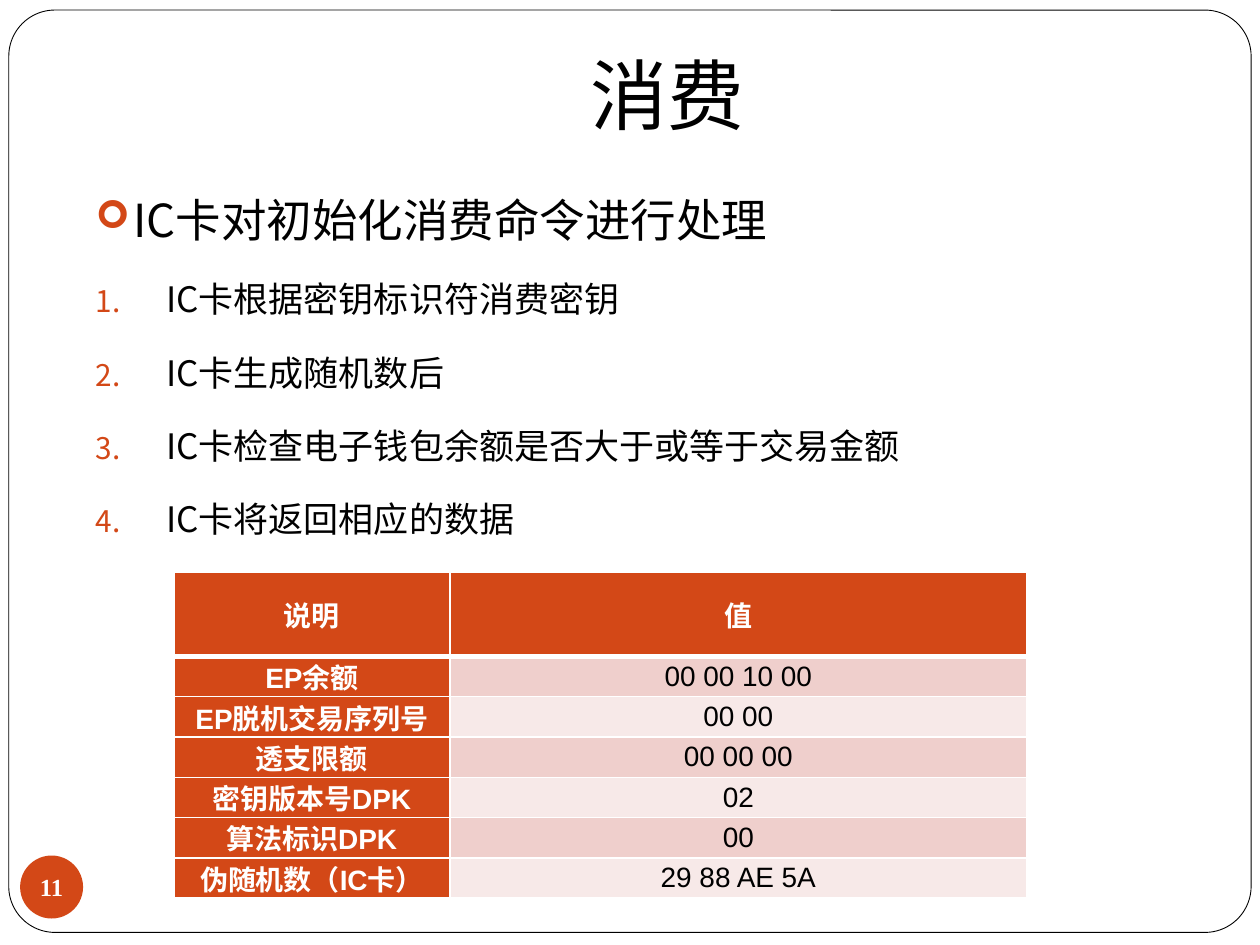
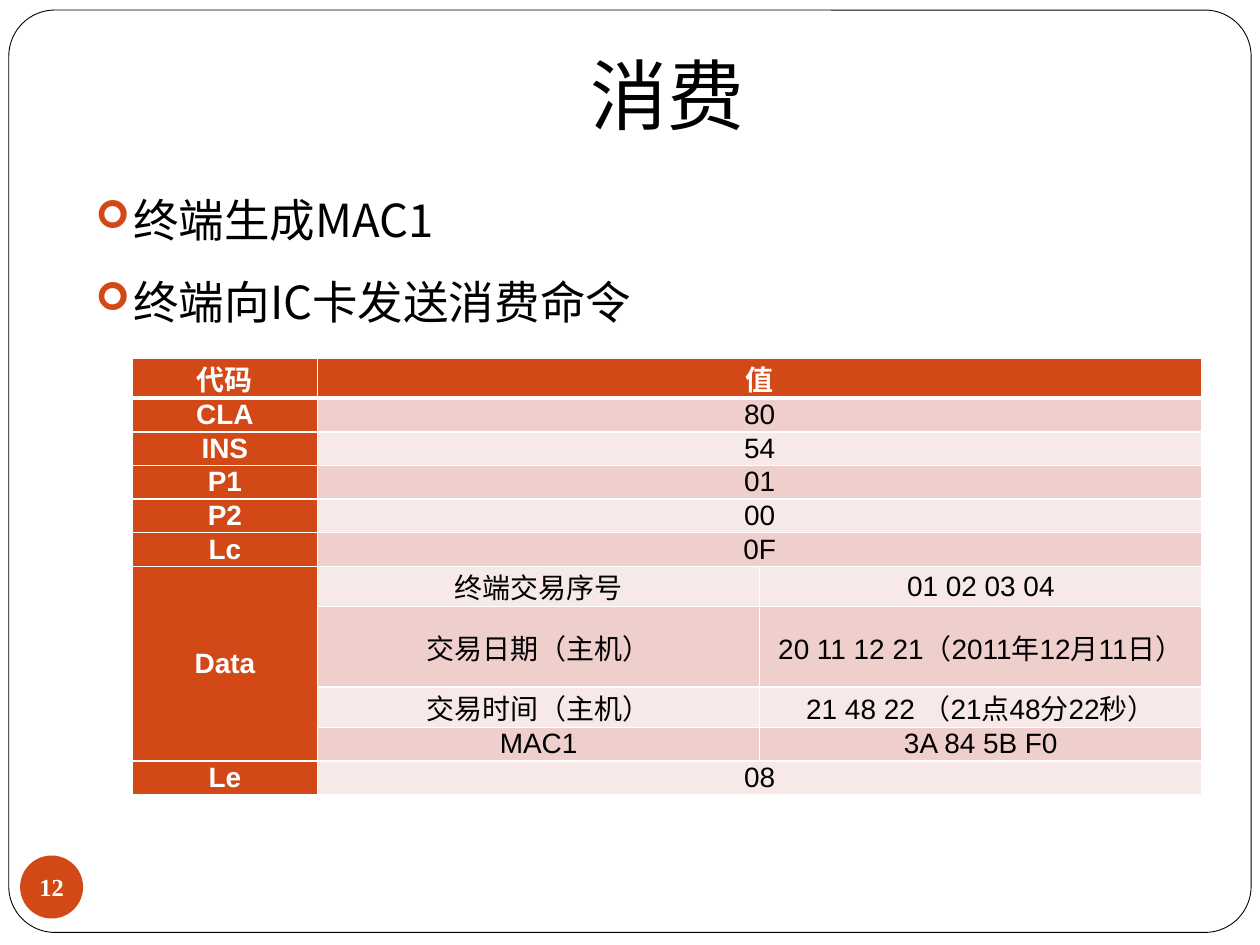
from lxml import etree
from pptx import Presentation
from pptx.dml.color import RGBColor
from pptx.enum.shapes import MSO_SHAPE
from pptx.enum.text import MSO_ANCHOR, PP_ALIGN
from pptx.oxml.ns import qn
from pptx.util import Inches, Pt

# Shared style
ORANGE = RGBColor(0xD3, 0x48, 0x17)
ROSE = RGBColor(0xEF, 0xCF, 0xCC)
PALE_ROSE = RGBColor(0xF7, 0xE9, 0xE8)
WHITE = RGBColor(0xFF, 0xFF, 0xFF)
BLACK = RGBColor(0, 0, 0)
CJK_FONT = "Noto Sans CJK SC"

TITLE = {"size": Pt(44), "name": CJK_FONT, "bold": False}
HEADING = {"size": Pt(26), "name": CJK_FONT, "bold": False}
STEP = {"size": Pt(20), "name": CJK_FONT, "bold": False}
NUMBER = {"size": Pt(14), "name": "Times New Roman", "bold": True}
LABEL = {"size": Pt(16), "name": "Arial", "bold": True}
VALUE = {"size": Pt(16), "name": "Arial", "bold": False}


class SlideBuilder:
    """Holds the presentation, its style and the current slide."""

    def __init__(self):
        self.presentation = Presentation()
        self.presentation.slide_width = Inches(10)
        self.presentation.slide_height = Inches(7.5)
        self.slide = None

    def add_slide(self, title, number):
        layout = self.presentation.slide_layouts[6]
        self.slide = self.presentation.slides.add_slide(layout)
        self.add_frame()
        self.add_number(number)
        self.add_title(title)

    def add_run(self, paragraph, text, style, color):
        run = paragraph.add_run()
        run.text = text
        for name, value in style.items():
            setattr(run.font, name, value)
        run.font.color.rgb = color
        properties = run.font._element
        etree.SubElement(properties, qn("a:ea")).set("typeface", CJK_FONT)

    def set_margins(self, holder, horizontal, vertical=0):
        for side in ("left", "right"):
            setattr(holder, f"margin_{side}", Inches(horizontal))
        for side in ("top", "bottom"):
            setattr(holder, f"margin_{side}", Inches(vertical))

    def add_panel(self, kind, left, top, width, height, fill):
        shape = self.slide.shapes.add_shape(
            kind, Inches(left), Inches(top), Inches(width), Inches(height))
        shape.shadow.inherit = False
        shape.fill.solid()
        shape.fill.fore_color.rgb = fill
        return shape

    def add_frame(self):
        frame = self.add_panel(
            MSO_SHAPE.ROUNDED_RECTANGLE, 0.07, 0.08, 9.86, 7.32, WHITE)
        frame.adjustments[0] = 0.05
        frame.line.color.rgb = BLACK
        frame.line.width = Pt(0.5)

    def add_number(self, number):
        badge = self.add_panel(MSO_SHAPE.OVAL, 0.16, 6.79, 0.5, 0.5, ORANGE)
        badge.line.fill.background()
        text_frame = badge.text_frame
        text_frame.word_wrap = False
        text_frame.vertical_anchor = MSO_ANCHOR.MIDDLE
        self.set_margins(text_frame, 0)
        paragraph = text_frame.paragraphs[0]
        paragraph.alignment = PP_ALIGN.CENTER
        self.add_run(paragraph, str(number), NUMBER, WHITE)

    def add_text_frame(self, left, top, width, height):
        box = self.slide.shapes.add_textbox(
            Inches(left), Inches(top), Inches(width), Inches(height))
        box.text_frame.word_wrap = True
        return box.text_frame

    def add_title(self, title):
        text_frame = self.add_text_frame(2.01, 0.32, 6.58, 0.84)
        text_frame.vertical_anchor = MSO_ANCHOR.MIDDLE
        paragraph = text_frame.paragraphs[0]
        paragraph.alignment = PP_ALIGN.CENTER
        self.add_run(paragraph, title, TITLE, BLACK)

    def add_bullet(self, paragraph, indent, tag, attributes):
        properties = paragraph._p.get_or_add_pPr()
        properties.set("marL", str(Inches(indent)))
        properties.set("indent", str(-Inches(indent)))
        color = etree.SubElement(properties, qn("a:buClr"))
        etree.SubElement(color, qn("a:srgbClr")).set("val", str(ORANGE))
        etree.SubElement(properties, qn("a:buSzPct")).set("val", "85000")
        if tag == "a:buChar":
            font = etree.SubElement(properties, qn("a:buFont"))
            font.set("typeface", "Wingdings")
        etree.SubElement(properties, qn(tag), attributes)

    def add_body(self, headings, steps=()):
        text_frame = self.add_text_frame(0.66, 1.26, 8.99, 5.54)
        items = [(text, HEADING, 0, 0.3, "a:buChar", {"char": "➢"})
                 for text in headings]
        items += [(text, STEP, 5.8, 0.56, "a:buAutoNum",
                   {"type": "arabicPeriod"}) for text in steps]
        for index, (text, style, before, indent, tag, marks) in enumerate(items):
            paragraph = (text_frame.add_paragraph() if index
                         else text_frame.paragraphs[0])
            paragraph.line_spacing = 1.5
            paragraph.space_before = Pt(before)
            self.add_bullet(paragraph, indent, tag, marks)
            self.add_run(paragraph, text, style, BLACK)

    def set_borders(self, cell, widths):
        properties = cell._tc.get_or_add_tcPr()
        for side in "LRTB":
            line = etree.SubElement(properties, qn(f"a:ln{side}"))
            line.set("w", str(Pt(widths.get(side, 1))))
            fill = etree.SubElement(line, qn("a:solidFill"))
            etree.SubElement(fill, qn("a:srgbClr")).set("val", str(WHITE))

    def style_cell(self, cell, row, column, margin):
        self.set_borders(cell, {0: {"B": 3}, 1: {"T": 3}}.get(row, {}))
        self.set_margins(cell, margin)
        cell.vertical_anchor = MSO_ANCHOR.MIDDLE
        cell.fill.solid()
        if row == 0 or column == 0:
            cell.fill.fore_color.rgb = ORANGE
        else:
            cell.fill.fore_color.rgb = ROSE if row % 2 else PALE_ROSE

    def shrink_empty_cell(self, cell):
        """Keep a merged-away cell from stretching its row."""
        paragraph = cell.text_frame.paragraphs[0]
        end = etree.SubElement(paragraph._p, qn("a:endParaRPr"), {"sz": "1000"})
        etree.SubElement(end, qn("a:latin")).set("typeface", "Arial")

    def add_table(self, left, top, widths, heights, rows, margin):
        """A short row spans to the right; None continues the cell above."""
        table = self.slide.shapes.add_table(
            len(rows), len(widths), Inches(left), Inches(top),
            Inches(sum(widths)), Inches(sum(heights))).table
        for column, width in zip(table.columns, widths):
            column.width = Inches(width)
        for row, height in zip(table.rows, heights):
            row.height = Inches(height)
        last_column = len(widths) - 1
        for row_index, texts in enumerate(rows):
            padding = [None] * (len(widths) - len(texts))
            for column_index, text in enumerate(texts + padding):
                cell = table.cell(row_index, column_index)
                self.style_cell(cell, row_index, column_index, margin)
                if text is None:
                    self.shrink_empty_cell(cell)
                    continue
                paragraph = cell.text_frame.paragraphs[0]
                paragraph.alignment = PP_ALIGN.CENTER
                is_label = row_index == 0 or column_index == 0
                self.add_run(paragraph, text, LABEL if is_label else VALUE,
                             WHITE if is_label else BLACK)
            if padding:
                table.cell(row_index, len(texts) - 1).merge(
                    table.cell(row_index, last_column))
        # Join each first cell with the empty ones that follow it
        starts = [index for index, texts in enumerate(rows)
                  if texts[0] is not None]
        for start, end in zip(starts, starts[1:] + [len(rows)]):
            if end - start > 1:
                table.cell(start, 0).merge(table.cell(end - 1, 0))


builder = SlideBuilder()

# Slide 11: the card handles the command
builder.add_slide("消费", 11)
builder.add_body(
    ["IC卡对初始化消费命令进行处理"],
    ["IC卡根据密钥标识符消费密钥",
     "IC卡生成随机数后",
     "IC卡检查电子钱包余额是否大于或等于交易金额",
     "IC卡将返回相应的数据"])
response_rows = [
    ["说明", "值"],
    ["EP余额", "00 00 10 00"],
    ["EP脱机交易序列号", "00 00"],
    ["透支限额", "00 00 00"],
    ["密钥版本号DPK", "02"],
    ["算法标识DPK", "00"],
    ["伪随机数（IC卡）", "29 88 AE 5A"],
]
builder.add_table(1.38, 4.54, [2.19, 4.58], [0.67] + [0.32] * 6,
                  response_rows, 0.07)

# Slide 12: the terminal sends the command
builder.add_slide("消费", 12)
builder.add_body(["终端生成MAC1", "终端向IC卡发送消费命令"])
command_rows = [
    ["代码", "值"],
    ["CLA", "80"],
    ["INS", "54"],
    ["P1", "01"],
    ["P2", "00"],
    ["Lc", "0F"],
    ["Data", "终端交易序号", "01 02 03 04"],
    [None, "交易日期（主机）", "20 11 12 21（2011年12月11日）"],
    [None, "交易时间（主机）", "21 48 22 （21点48分22秒）"],
    [None, "MAC1", "3A 84 5B F0"],
    ["Le", "08"],
]
command_heights = [0.32] + [0.24] * 5 + [0.32, 0.64, 0.32] + [0.24] * 2
builder.add_table(1.05, 2.84, [1.47, 3.51, 3.51], command_heights,
                  command_rows, 0.06)

builder.presentation.save("out.pptx")
